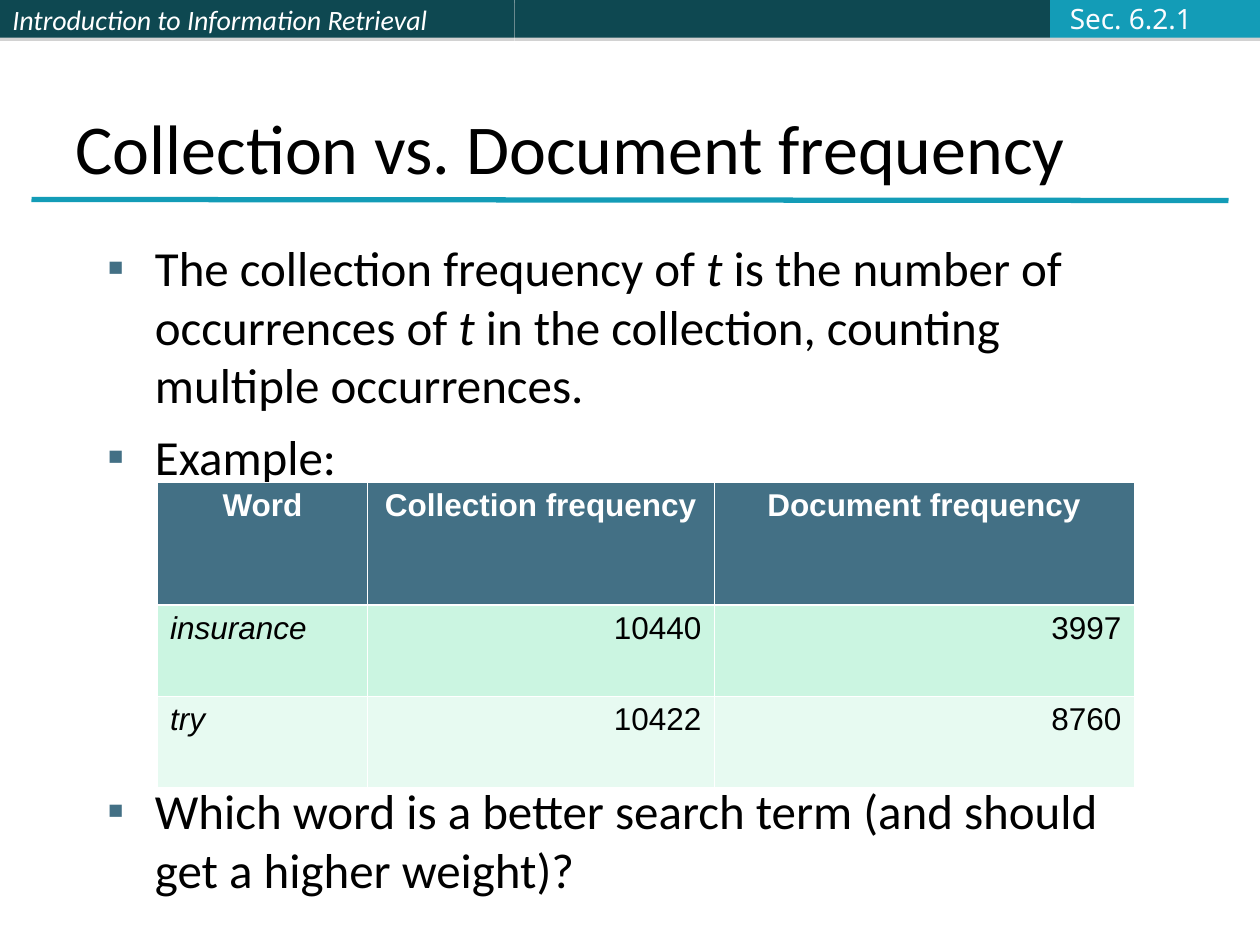
from dataclasses import dataclass

from lxml import etree
from pptx import Presentation
from pptx import util as u
from pptx.dml.color import RGBColor
from pptx.enum import shapes, text
from pptx.oxml import ns

COLUMNS, ROWS = 120, 90
ALIGN = text.PP_ALIGN


@dataclass(frozen=True)
class Theme:
    """Colours, fonts and type sizes of the slide."""
    dark: str = "0E4851"
    accent: str = "139CB7"
    header: str = "437085"
    bands: tuple = ("CBF5E1", "E7FAF1")
    black: str = "000000"
    white: str = "FFFFFF"
    section: str = "FBFCFF"
    shadow: str = "808080"
    font: str = "Calibri"
    table_font: str = "Arial"
    section_font: str = "Noto Sans"
    title_size: int = 40
    body_size: int = 28
    table_size: int = 18
    banner_size: int = 16
    thin: float = 0.45
    thick: float = 1.47


def add_xml(parent, tag, **attributes):
    """Append a drawing element and return it."""
    return etree.SubElement(parent, ns.qn(tag), attributes)


def set_all(target, values):
    """Set each named attribute on the target."""
    for name, value in values.items():
        setattr(target, name, value)


class SlideBuilder:
    """Draws themed elements on one slide, measured in grid units."""

    def __init__(self, presentation, theme):
        """Open a title-and-content slide."""
        self.theme = theme
        self.column = presentation.slide_width / COLUMNS
        self.row = presentation.slide_height / ROWS
        self.slide = presentation.slides.add_slide(presentation.slide_layouts[1])
        self.shapes = self.slide.shapes

    def box(self, left, top, width, height):
        """Turn grid units into lengths."""
        return (u.Emu(round(left * self.column)), u.Emu(round(top * self.row)),
                u.Emu(round(width * self.column)), u.Emu(round(height * self.row)))

    def place(self, shape, *area):
        """Move a shape to a grid area."""
        set_all(shape, dict(zip(("left", "top", "width", "height"), self.box(*area))))

    def add_words(self, paragraph, words, size, color, font=None, **styles):
        """Add runs; asterisks switch italics on and off."""
        for index, part in enumerate(words.split("*")):
            if part:
                run = paragraph.add_run()
                run.text = part
                values = {"size": u.Pt(size), "name": font or self.theme.font,
                          "italic": index % 2 == 1, **styles}
                set_all(run.font, values)
                run.font.color.rgb = RGBColor.from_string(color)

    def title(self, words, *area):
        """Fill the title placeholder."""
        shape = self.shapes.title
        self.place(shape, *area)
        set_all(shape.text_frame, {"vertical_anchor": text.MSO_ANCHOR.BOTTOM,
                                   "auto_size": text.MSO_AUTO_SIZE.NONE})
        paragraph = shape.text_frame.paragraphs[0]
        paragraph.alignment = ALIGN.LEFT
        self.add_words(paragraph, words, self.theme.title_size, self.theme.black)

    def bullets(self, items, *area):
        """Fill the body placeholder with (words, space before) items."""
        shape = self.slide.placeholders[1]
        self.place(shape, *area)
        frame = shape.text_frame
        frame.auto_size = text.MSO_AUTO_SIZE.NONE
        for index, (words, space) in enumerate(items):
            paragraph = frame.add_paragraph() if index else frame.paragraphs[0]
            paragraph.space_before = u.Pt(space)
            properties = paragraph._p.get_or_add_pPr()
            indent = u.Inches(0.38)
            properties.set("marL", str(indent))
            properties.set("indent", str(-indent))
            add_xml(add_xml(properties, "a:buClr"), "a:srgbClr", val=self.theme.header)
            add_xml(properties, "a:buFont", typeface=self.theme.table_font)
            add_xml(properties, "a:buChar", char="▪")
            self.add_words(paragraph, words, self.theme.body_size, self.theme.black)

    def bar(self, color, *area):
        """Add a banner rectangle with a soft lower edge."""
        shape = self.shapes.add_shape(shapes.MSO_SHAPE.RECTANGLE, *self.box(*area))
        shape.shadow.inherit = False
        shape.fill.solid()
        shape.fill.fore_color.rgb = RGBColor.from_string(color)
        shape.line.fill.background()
        effects = shape._element.spPr.find(ns.qn("a:effectLst"))
        shadow = add_xml(effects, "a:outerShdw", blurRad="0", dist=str(u.Pt(1.8)),
                         dir="5400000", rotWithShape="0")
        add_xml(add_xml(shadow, "a:srgbClr", val=self.theme.shadow),
                "a:alpha", val="35000")
        return shape

    def label(self, shape, words, color, font=None):
        """Set one banner line, centred vertically."""
        frame = shape.text_frame
        frame.vertical_anchor = text.MSO_ANCHOR.MIDDLE
        frame.paragraphs[0].alignment = ALIGN.LEFT
        self.add_words(frame.paragraphs[0], words, self.theme.banner_size, color, font)

    def text_box(self, words, color, font, *area):
        """Add a one-line text box."""
        shape = self.shapes.add_textbox(*self.box(*area))
        shape.text_frame.word_wrap = False
        self.label(shape, words, color, font)

    def rule(self, left, top, right, bottom):
        """Add the line under the title."""
        start, end = self.box(left, top, 0, 0)[:2], self.box(right, bottom, 0, 0)[:2]
        line = self.shapes.add_connector(shapes.MSO_CONNECTOR.STRAIGHT, *start, *end)
        line.line.color.rgb = RGBColor.from_string(self.theme.accent)
        line.line.width = u.Pt(3)
        add_xml(line._element.spPr, "a:effectLst")

    def borders(self, cell, **widths):
        """Give a cell white borders, thin unless a width is named."""
        properties = cell._tc.get_or_add_tcPr()
        for index, side in enumerate("LRTB"):
            width = u.Pt(widths.get(side, self.theme.thin))
            line = etree.Element(ns.qn(f"a:ln{side}"), w=str(width))
            add_xml(add_xml(line, "a:solidFill"), "a:srgbClr", val=self.theme.white)
            properties.insert(index, line)

    def table(self, records, left, top, widths, heights):
        """Add a table with a header row and tinted rows."""
        theme = self.theme
        area = self.box(left, top, sum(widths), sum(heights))
        table = self.shapes.add_table(len(heights), len(widths), *area).table
        for column, width in zip(table.columns, widths):
            column.width = u.Emu(round(width * self.column))
        for row, height in zip(table.rows, heights):
            row.height = u.Emu(round(height * self.row))
        edges = {0: {"B": theme.thick}, 1: {"T": theme.thick}}
        for i, record in enumerate(records):
            for j, words in enumerate(record):
                cell = table.cell(i, j)
                cell.fill.solid()
                fill = (theme.header, *theme.bands)[i]
                cell.fill.fore_color.rgb = RGBColor.from_string(fill)
                self.borders(cell, **edges.get(i, {}))
                paragraph = cell.text_frame.paragraphs[0]
                body_align = ALIGN.RIGHT if j else ALIGN.LEFT
                paragraph.alignment = body_align if i else ALIGN.CENTER
                self.add_words(paragraph, words, theme.table_size,
                               theme.black if i else theme.white,
                               theme.table_font, bold=i == 0)


def main():
    """Build the slide and save it."""
    theme = Theme()
    presentation = Presentation()
    presentation.slide_width, presentation.slide_height = u.Inches(10), u.Inches(7.5)
    builder = SlideBuilder(presentation, theme)

    course = builder.bar(theme.dark, 0, 0, 49, 3.6)
    builder.label(course, "*Introduction to Information Retrieval*", theme.white)
    builder.bar(theme.dark, 49, 0, 51, 3.6)
    builder.bar(theme.accent, 100, 0, 20, 3.6)
    builder.rule(3, 19, 117, 19.1)
    builder.title("Collection vs. Document frequency", 6, 3.6, 108, 15)
    builder.bullets([
        ("The collection frequency of *t* is the number of occurrences of *t* "
         "in the collection, counting multiple occurrences.", 7),
        ("Example:", 7),
        ("Which word is a better search term (and should get a higher weight)?", 169),
    ], 9, 22, 102, 64)
    builder.table([
        ("Word", "Collection frequency", "Document frequency"),
        ("*insurance*", "10440", "3997"),
        ("*try*", "10422", "8760"),
    ], 15, 45.9, (20, 33, 40), (11.7, 8.7, 8.7))
    builder.text_box("Sec. 6.2.1", theme.section, theme.section_font,
                     100.7, -0.5, 14, 4.4)
    presentation.save("out.pptx")


main()
